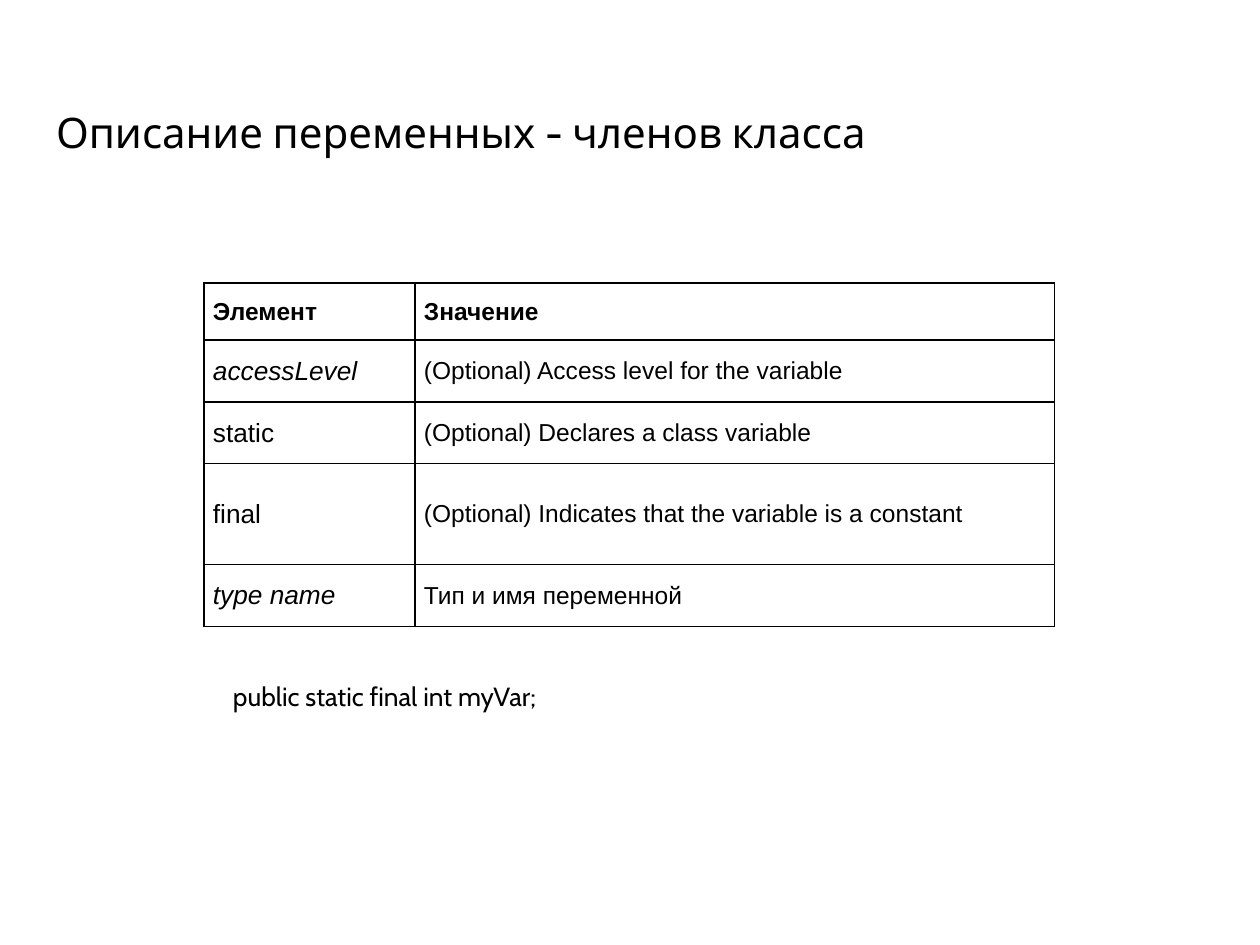
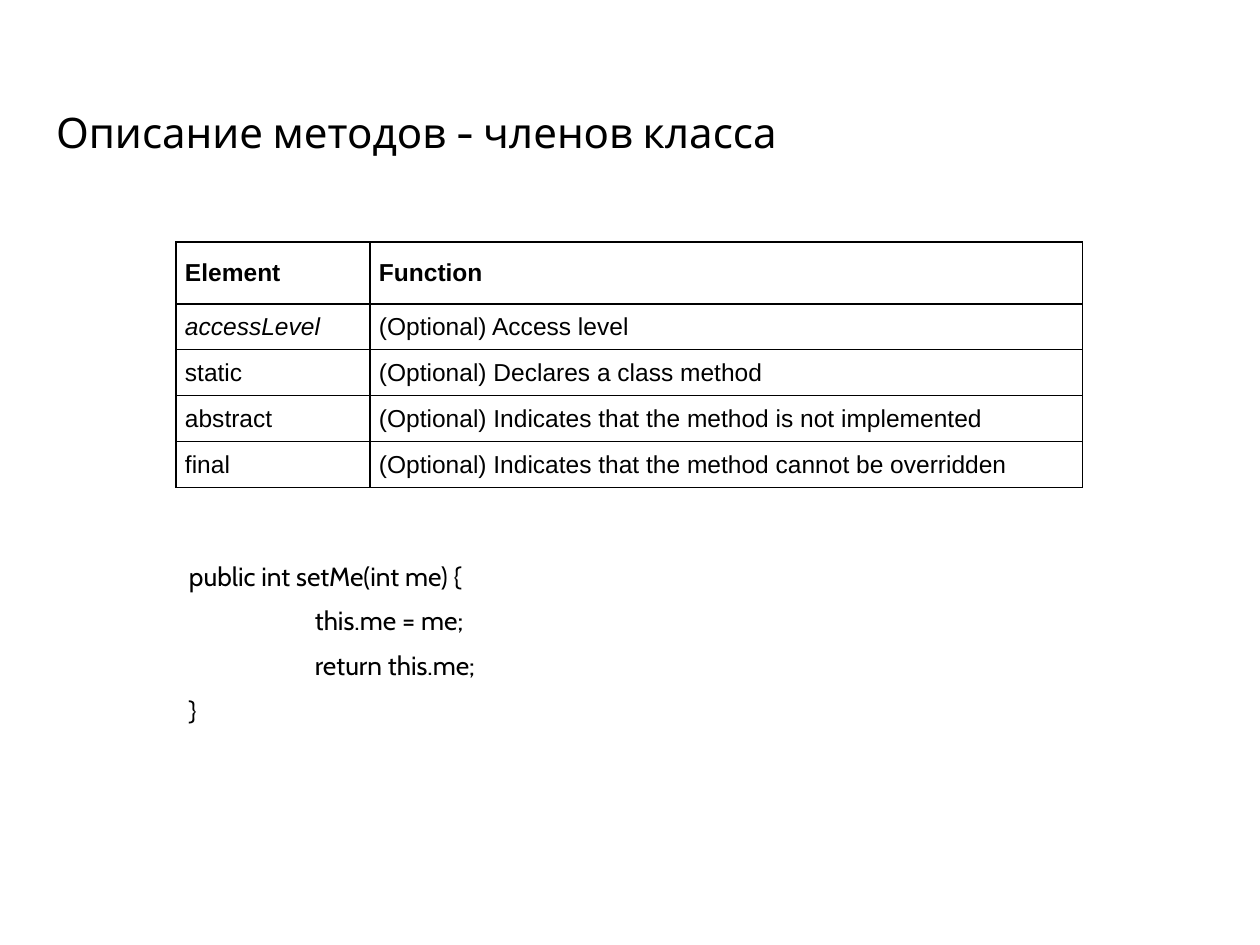
from dataclasses import dataclass

from lxml.etree import SubElement
from pptx import Presentation
from pptx.dml.color import RGBColor
from pptx.enum.text import MSO_ANCHOR, MSO_AUTO_SIZE, PP_ALIGN
from pptx.oxml.ns import qn
from pptx.util import Emu, Pt

# Shared scale, colours and formats
PX = 914400 // 126
COLORS = {"text": "000000", "border": "000000", "background": "FFFFFF"}
TITLE_FONT = {"name": "Cabin", "size": Pt(24), "bold": False}
CODE_FONT = {"name": "Cabin", "size": Pt(15)}
CELL_FONT = {"name": "Arial", "size": Pt(14), "bold": False, "italic": False}
TITLE_BOX = (43, 82, 1174, 105)
CELL_MARGINS = {"margin_left": 9, "margin_right": 9, "margin_top": 5, "margin_bottom": 5}
BOX_MARGINS = {"margin_left": 13, "margin_right": 13, "margin_top": 6, "margin_bottom": 6}
CODE_INDENT = 126


@dataclass(frozen=True)
class Term:
    name: str
    meaning: str
    italic: bool = False


@dataclass(frozen=True)
class TermTable:
    left: int
    top: int
    cols: tuple[int, ...]
    rows: tuple[int, ...]
    header: tuple[str, str]
    terms: tuple[Term, ...]
    name_size: int
    hanging: int = 0


@dataclass(frozen=True)
class CodeLine:
    text: str
    level: int = 0


@dataclass(frozen=True)
class CodeBox:
    box: tuple[int, int, int, int]
    lines: tuple[CodeLine, ...]


@dataclass(frozen=True)
class MemberSlide:
    title: str
    table: TermTable
    code: CodeBox


SLIDES = (
    MemberSlide(
        "Описание переменных - членов класса",
        TermTable(
            204, 283, (211, 640), (57, 62, 62, 101, 62),
            ("Элемент", "Значение"),
            (
                Term("accessLevel", "(Optional) Access level for the variable", True),
                Term("static", "(Optional) Declares a class variable"),
                Term("final", "(Optional) Indicates that the variable is a constant"),
                Term("type name", "Тип и имя переменной", True),
            ),
            name_size=15, hanging=48,
        ),
        CodeBox((220, 674, 730, 44), (CodeLine("public static final int myVar;"),)),
    ),
    MemberSlide(
        "Описание методов - членов класса",
        TermTable(
            176, 242, (194, 713), (62, 46, 46, 46, 46),
            ("Element", "Function"),
            (
                Term("accessLevel", "(Optional) Access level", True),
                Term("static", "(Optional) Declares a class method"),
                Term("abstract", "(Optional) Indicates that the method is not implemented"),
                Term("final", "(Optional) Indicates that the method cannot be overridden"),
            ),
            name_size=14,
        ),
        CodeBox(
            (176, 554, 730, 188),
            (
                CodeLine("public int setMe(int me) {"),
                CodeLine("this.me = me;", 1),
                CodeLine("return this.me;", 1),
                CodeLine("}"),
            ),
        ),
    ),
)


def px(value: int) -> Emu:
    return Emu(value * PX)


def set_margins(target, margins: dict) -> None:
    for name, value in margins.items():
        setattr(target, name, px(value))


def add_run(p, text: str, font: dict) -> None:
    r = p.add_run()
    r.text = text
    for name, value in font.items():
        setattr(r.font, name, value)
    r.font.color.rgb = RGBColor.from_string(COLORS["text"])


def indent(p, left: int, first: int = 0) -> None:
    pPr = p._p.get_or_add_pPr()
    pPr.set("marL", str(px(left)))
    pPr.set("indent", str(px(first)))


def add_title(s, text: str) -> None:
    sp = s.shapes.title
    sp.left, sp.top, sp.width, sp.height = map(px, TITLE_BOX)
    tf = sp.text_frame
    tf.auto_size = MSO_AUTO_SIZE.NONE
    tf.vertical_anchor = MSO_ANCHOR.MIDDLE
    set_margins(tf, BOX_MARGINS)
    p = tf.paragraphs[0]
    p.alignment = PP_ALIGN.LEFT
    p.line_spacing = 0.9
    add_run(p, text, TITLE_FONT)


def add_borders(cell) -> None:
    tcPr = cell._tc.get_or_add_tcPr()
    for side in ("lnL", "lnR", "lnT", "lnB"):
        ln = SubElement(tcPr, qn(f"a:{side}"), w=str(Pt(0.75)))
        fill = SubElement(ln, qn("a:solidFill"))
        SubElement(fill, qn("a:srgbClr"), val=COLORS["border"])


def fill_cell(cell, text: str, font: dict, hanging: int) -> None:
    set_margins(cell, CELL_MARGINS)
    cell.vertical_anchor = MSO_ANCHOR.MIDDLE
    add_borders(cell)
    cell.fill.background()
    p = cell.text_frame.paragraphs[0]
    indent(p, hanging, -hanging)
    add_run(p, text, font)


def add_terms(s, spec_table: TermTable) -> None:
    t = spec_table
    table = s.shapes.add_table(
        len(t.rows), len(t.cols), px(t.left), px(t.top), px(sum(t.cols)), px(sum(t.rows))
    ).table
    table.first_row = table.horz_banding = False
    for column, width in zip(table.columns, t.cols):
        column.width = px(width)
    for row, height in zip(table.rows, t.rows):
        row.height = px(height)

    # Header row, then one row per term
    for col, text in enumerate(t.header):
        fill_cell(table.cell(0, col), text, CELL_FONT | {"bold": True}, t.hanging)
    for row, term in enumerate(t.terms, start=1):
        name_font = CELL_FONT | {"size": Pt(t.name_size), "italic": term.italic}
        fill_cell(table.cell(row, 0), term.name, name_font, t.hanging)
        fill_cell(table.cell(row, 1), term.meaning, CELL_FONT, t.hanging)


def add_code(s, code: CodeBox) -> None:
    tf = s.shapes.add_textbox(*map(px, code.box)).text_frame
    tf.word_wrap = True
    set_margins(tf, BOX_MARGINS)
    for i, line in enumerate(code.lines):
        p = tf.add_paragraph() if i else tf.paragraphs[0]
        p.space_before = Pt(7.5 if i else 0)
        indent(p, line.level * CODE_INDENT)
        add_run(p, line.text, CODE_FONT)


def main() -> None:
    prs = Presentation()
    prs.slide_width, prs.slide_height = px(1260), px(945)
    for member in SLIDES:
        s = prs.slides.add_slide(prs.slide_layouts[5])
        s.background.fill.solid()
        s.background.fill.fore_color.rgb = RGBColor.from_string(COLORS["background"])
        add_title(s, member.title)
        add_terms(s, member.table)
        add_code(s, member.code)
    prs.save("out.pptx")


if __name__ == "__main__":
    main()
